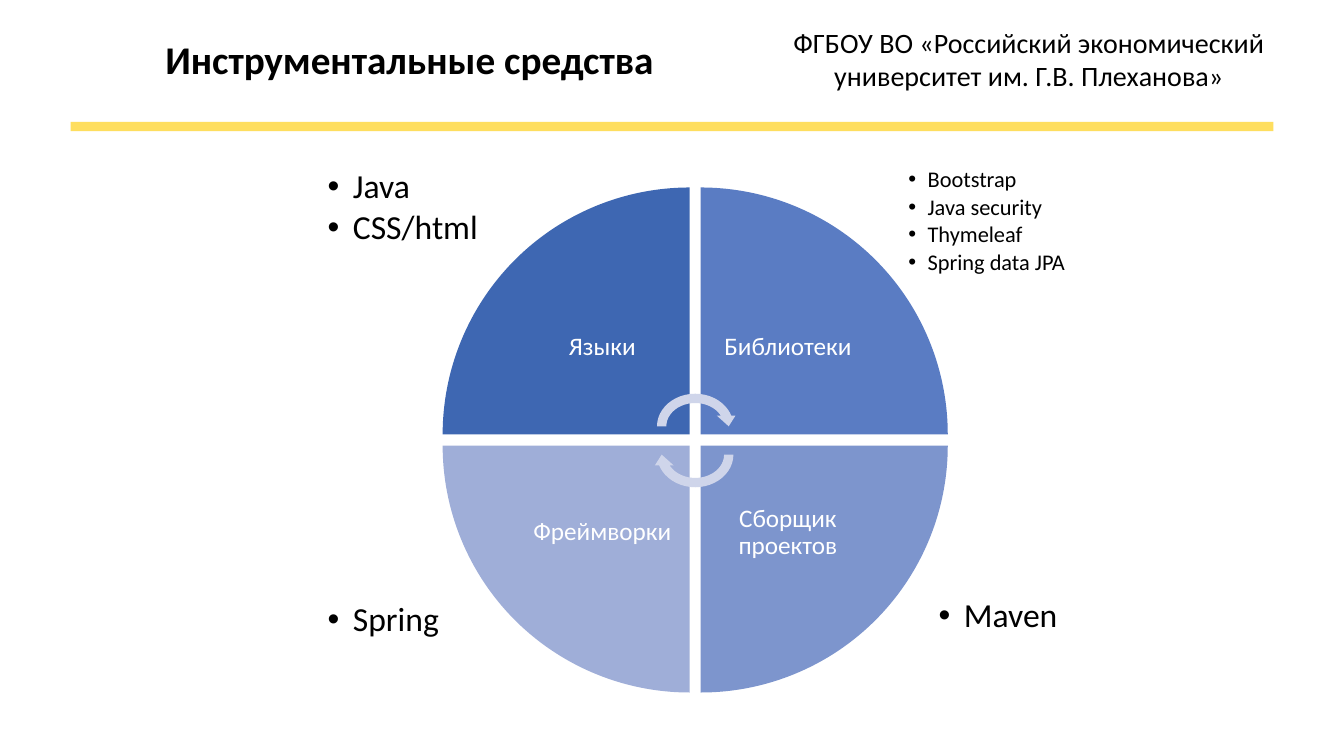
from lxml.etree import SubElement
from pptx import Presentation
from pptx.dml.color import RGBColor
from pptx.enum.shapes import MSO_SHAPE
from pptx.enum.text import MSO_ANCHOR, MSO_AUTO_SIZE, PP_ALIGN
from pptx.oxml.ns import qn
from pptx.util import Emu, Pt

PX = 9144  # EMU in one px, 100 px to the inch
FONT = "Calibri"
BLACK = RGBColor(0x00, 0x00, 0x00)
WHITE = RGBColor(0xFF, 0xFF, 0xFF)
YELLOW = RGBColor(0xFE, 0xDE, 0x5F)
ARROW = RGBColor(0xCF, 0xD5, 0xEA)
LANGUAGES = RGBColor(0x3E, 0x67, 0xB2)
LIBRARIES = RGBColor(0x5A, 0x7C, 0xC3)
BUILDER = RGBColor(0x7D, 0x95, 0xCD)
FRAMEWORKS = RGBColor(0x9F, 0xAE, 0xD8)

WEDGE, STEP, LABEL = 245, 256, 173

# Label, colour, column, row; clockwise from the top left
SECTORS = [
    ("Языки", LANGUAGES, 0, 0),
    ("Библиотеки", LIBRARIES, 1, 0),
    ("Сборщик проектов", BUILDER, 1, 1),
    ("Фреймворки", FRAMEWORKS, 0, 1),
]
# Items, box, text size, inset, hanging indent
LISTS = [
    (["Java", "CSS/html"], (315, 158, 188, 128), 24, 10, 25),
    (["Bootstrap", "Java security", "Thymeleaf", "Spring data JPA"],
     (892, 158, 217, 128), 16, 9, 19),
    (["Maven"], (921, 584, 188, 128), 24, 10, 25),
    (["Spring"], (315, 588, 188, 128), 24, 10, 25),
]


def px(*lengths):
    return [Emu(length * PX) for length in lengths]


def set_frame(shape, inset_x, inset_y, anchor=MSO_ANCHOR.TOP, wrap=True):
    frame = shape.text_frame
    frame.auto_size = MSO_AUTO_SIZE.NONE
    frame.word_wrap = wrap
    frame.vertical_anchor = anchor
    frame.margin_left = frame.margin_right = Emu(inset_x * PX)
    frame.margin_top = frame.margin_bottom = Emu(inset_y * PX)
    return frame


def write(paragraph, text, size, color=BLACK, bold=False, align=PP_ALIGN.LEFT):
    paragraph.alignment = align
    paragraph.space_before = Pt(0)
    run = paragraph.add_run()
    run.text = text
    run.font.name = FONT
    run.font.size = Pt(size)
    run.font.bold = bold
    run.font.color.rgb = color


def place(shape, box):
    shape.left, shape.top, shape.width, shape.height = px(*box)


def add_filled(slide, preset, box, color, rotation=0):
    shape = slide.shapes.add_shape(preset, *px(*box))
    shape.shadow.inherit = False
    shape.fill.solid()
    shape.fill.fore_color.rgb = color
    shape.line.fill.background()
    shape.rotation = rotation


def add_header(slide, left, top, width):
    add_filled(slide, MSO_SHAPE.RECTANGLE, (left, top, width, 9), YELLOW)

    university = slide.shapes.add_textbox(*px(left + 637, top - 101, 627, 77))
    frame = set_frame(university, 10, 5)
    write(frame.paragraphs[0],
          "ФГБОУ ВО «Российский экономический университет им. Г.В. Плеханова»",
          20, align=PP_ALIGN.CENTER)

    title = slide.shapes.title
    place(title, (left + 84, top - 91, 510, 57))
    frame = set_frame(title, 10, 5, wrap=False)
    write(frame.paragraphs[0], "Инструментальные средства", 28, bold=True)


def fill_list(placeholder, items, box, size, inset, indent):
    place(placeholder, box)
    frame = set_frame(placeholder, inset, inset)
    for index, item in enumerate(items):
        paragraph = frame.paragraphs[0] if index == 0 else frame.add_paragraph()
        properties = paragraph._p.get_or_add_pPr()
        properties.set("marL", str(indent * PX))
        properties.set("indent", str(-indent * PX))
        SubElement(properties, qn("a:buFont")).set("typeface", "Arial")
        SubElement(properties, qn("a:buChar")).set("char", "•")
        paragraph.line_spacing = 0.9
        paragraph.space_after = Pt(size * 0.15)
        write(paragraph, item, size)


def add_wheel(slide, left, top):
    # Sectors with their labels next to the centre
    for index, (label, color, column, row) in enumerate(SECTORS):
        x, y = left + column * STEP, top + row * STEP
        add_filled(slide, MSO_SHAPE.PIE_WEDGE, (x, y, WEDGE, WEDGE), color, index * 90)
        label_x = x + (1 - column) * (WEDGE - LABEL)
        label_y = y + (1 - row) * (WEDGE - LABEL)
        text_box = slide.shapes.add_textbox(*px(label_x, label_y, LABEL, LABEL))
        frame = set_frame(text_box, 14, 14, MSO_ANCHOR.MIDDLE)
        frame.paragraphs[0].line_spacing = 0.9
        write(frame.paragraphs[0], label, 18, WHITE, align=PP_ALIGN.CENTER)

    # Turning arrows in the middle
    for offset, rotation in ((200, 0), (228, 180)):
        add_filled(slide, MSO_SHAPE.CIRCULAR_ARROW,
                   (left + 208, top + offset, 85, 74), ARROW, rotation)


def main():
    presentation = Presentation()
    presentation.slide_width, presentation.slide_height = px(1333, 750)
    # The comparison layout has a title and four body placeholders
    slide = presentation.slides.add_slide(presentation.slide_layouts[4])
    bodies = list(slide.placeholders)[1:]
    add_header(slide, 70, 121, 1193)
    for body, tool_list in zip(bodies, LISTS):
        fill_list(body, *tool_list)
    add_wheel(slide, 439, 186)
    presentation.save("out.pptx")


if __name__ == "__main__":
    main()
